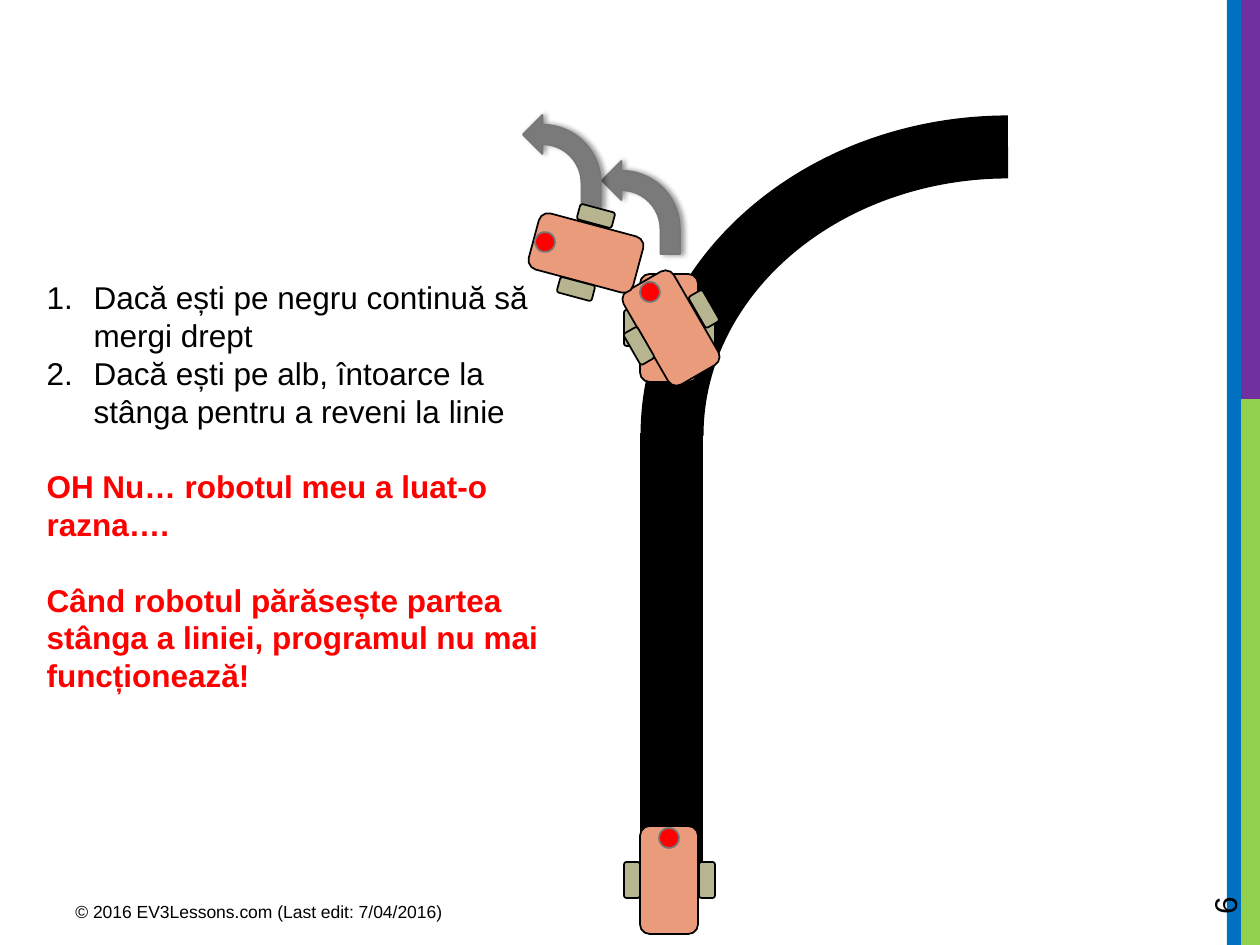
import math

from lxml import etree
from pptx import Presentation
from pptx import util as u
from pptx.dml.color import RGBColor
from pptx.enum import shapes, text
from pptx.oxml import ns

EMU_PER_PX = 914400 / 126
WIDTH, HEIGHT = 1260, 945

BLACK = RGBColor(0x00, 0x00, 0x00)
RED = RGBColor(0xFF, 0x00, 0x00)
BLUE = RGBColor(0x00, 0x70, 0xC0)
GREEN = RGBColor(0x92, 0xD0, 0x50)
PURPLE = RGBColor(0x70, 0x30, 0xA0)
SALMON = RGBColor(0xEA, 0x9B, 0x7C)
KHAKI = RGBColor(0xB6, 0xB5, 0x90)
GRAY = RGBColor(0x7A, 0x7A, 0x7A)
OUTLINE = RGBColor(0x77, 0x77, 0x77)

SHAPE = shapes.MSO_SHAPE
# Kind, centre offset, size, fill and line of each part of an upright robot.
ROBOT_PARTS = (
    (SHAPE.ROUNDED_RECTANGLE, (0, 0), (58, 108), SALMON, BLACK),
    (SHAPE.ROUNDED_RECTANGLE, (38, 0), (16, 36), KHAKI, BLACK),
    (SHAPE.ROUNDED_RECTANGLE, (-37, 0), (16, 36), KHAKI, BLACK),
    (SHAPE.OVAL, (0, -42), (20, 20), RED, OUTLINE),
)
RULES = (
    "Dacă ești pe negru continuă să mergi drept",
    "Dacă ești pe alb, întoarce la stânga pentru a reveni la linie",
)
WARNINGS = (
    "OH Nu… robotul meu a luat-o razna….",
    "Când robotul părăsește partea stânga a liniei, programul nu mai funcționează!",
)


def px(*lengths):
    return [u.Emu(round(length * EMU_PER_PX)) for length in lengths]


def apply(target, values):
    for name, value in values.items():
        setattr(target, name, value)


class SlideBuilder:
    font_name = "Arial"
    body_size = u.Pt(18)
    line_pitch = u.Pt(21.6)
    list_indent = 47

    def __init__(self, slide):
        self.slide = slide

    def shape(self, kind, box, fill=None, line=None, line_width=1, parent=None):
        shape = (parent or self.slide).shapes.add_shape(kind, *px(*box))
        shape.shadow.inherit = False
        for colour, target in ((fill, shape.fill), (line, shape.line.fill)):
            if colour is None:
                target.background()
            else:
                target.solid()
                target.fore_color.rgb = colour
        if line is not None:
            shape.line.width = u.Pt(line_width)
        return shape

    def flipped(self, kind, box, **style):
        shape = self.shape(kind, box, **style)
        shape._element.spPr.find(ns.qn("a:xfrm")).set("flipH", "1")
        return shape

    def straight_line(self, start, end, colour, width):
        line = self.slide.shapes.add_connector(
            shapes.MSO_CONNECTOR.STRAIGHT, *px(*start, *end))
        line.line.color.rgb = colour
        line.line.width = u.Pt(width)
        etree.SubElement(line._element.spPr, ns.qn("a:effectLst"))

    def robot(self, centre_x, centre_y, angle=0):
        group = self.slide.shapes.add_group_shape()
        cosine, sine = math.cos(math.radians(angle)), math.sin(math.radians(angle))
        for kind, (dx, dy), (width, height), fill, line in ROBOT_PARTS:
            x = centre_x + dx * cosine - dy * sine
            y = centre_y + dx * sine + dy * cosine
            box = (round(x - width / 2), round(y - height / 2), width, height)
            self.shape(kind, box, fill, line, parent=group).rotation = angle

    def turn_arrow(self, left, top):
        arrow = self.flipped(SHAPE.BENT_ARROW, (left, top, 78, 93),
                             fill=GRAY, line=OUTLINE)
        arrow.adjustments[3] = 0.75
        effects = arrow._element.spPr.find(ns.qn("a:effectLst"))
        shadow = etree.SubElement(effects, ns.qn("a:outerShdw"), dir="0",
                                  blurRad=str(u.Pt(3.1)), dist=str(u.Pt(1.8)))
        colour = etree.SubElement(shadow, ns.qn("a:srgbClr"), val=str(BLACK))
        etree.SubElement(colour, ns.qn("a:alpha"), val="40000")

    def paragraph(self, paragraph, wording, size, colour=BLACK, bold=False):
        paragraph.text = wording
        apply(paragraph.font, {"name": self.font_name, "size": size, "bold": bold})
        paragraph.font.color.rgb = colour

    def text_box(self, box, wording, size, rotation=0):
        shape = self.slide.shapes.add_textbox(*px(*box))
        shape.rotation = rotation
        shape.text_frame.word_wrap = True
        self.paragraph(shape.text_frame.paragraphs[0], wording, u.Pt(size))

    def body(self, box, rules, warnings):
        """Fill the body placeholder with numbered rules, then red warnings."""
        placeholder = self.slide.placeholders[1]
        apply(placeholder, dict(zip(("left", "top", "width", "height"), px(*box))))
        frame = placeholder.text_frame
        apply(frame, {"word_wrap": True,
                      "vertical_anchor": text.MSO_ANCHOR.TOP,
                      "auto_size": text.MSO_AUTO_SIZE.SHAPE_TO_FIT_TEXT})
        indent = px(self.list_indent)[0]
        for index, wording in enumerate((*rules, *warnings)):
            paragraph = frame.add_paragraph() if index else frame.paragraphs[0]
            numbered = index < len(rules)
            apply(paragraph, {"line_spacing": self.line_pitch,
                              "space_before": u.Pt(0) if numbered else self.line_pitch,
                              "space_after": u.Pt(0)})
            properties = paragraph._p.get_or_add_pPr()
            properties.set("marL", str(indent if numbered else 0))
            properties.set("indent", str(-indent if numbered else 0))
            if numbered:
                etree.SubElement(properties, ns.qn("a:buFont"), typeface="+mj-lt")
                etree.SubElement(properties, ns.qn("a:buAutoNum"), type="arabicPeriod")
            else:
                etree.SubElement(properties, ns.qn("a:buNone"))
            self.paragraph(paragraph, wording, self.body_size,
                           BLACK if numbered else RED, not numbered)


def main():
    presentation = Presentation()
    presentation.slide_width, presentation.slide_height = px(WIDTH, HEIGHT)
    slide = presentation.slides.add_slide(presentation.slide_layouts[1])
    title = slide.shapes.title._element
    title.getparent().remove(title)
    builder = SlideBuilder(slide)

    for left, top, width, height, colour in (
            (1227, 0, 13, HEIGHT, BLUE),
            (1240, 399, 20, 546, GREEN),
            (1235, 0, 25, 399, PURPLE),
            (1229, 0, 12, HEIGHT, BLUE)):
        builder.shape(SHAPE.RECTANGLE, (left, top, width, height), colour)

    builder.straight_line((672, 877), (672, 433), BLACK, 36)
    builder.flipped(SHAPE.ARC, (672, 147, 672, 577), line=BLACK, line_width=36)

    builder.robot(669, 880)
    builder.robot(669, 328)
    builder.turn_arrow(602, 161)
    builder.robot(671, 328, 330)
    builder.turn_arrow(523, 115)
    builder.robot(586, 253, 285)

    builder.body((34, 272, 532, 432), RULES, WARNINGS)
    builder.text_box((63, 895, 472, 39),
                     "© 2016 EV3Lessons.com (Last edit: 7/04/2016)", 10)
    builder.text_box((1134, 811, 181, 50), "6", 18, rotation=270)
    presentation.save("out.pptx")


if __name__ == "__main__":
    main()
